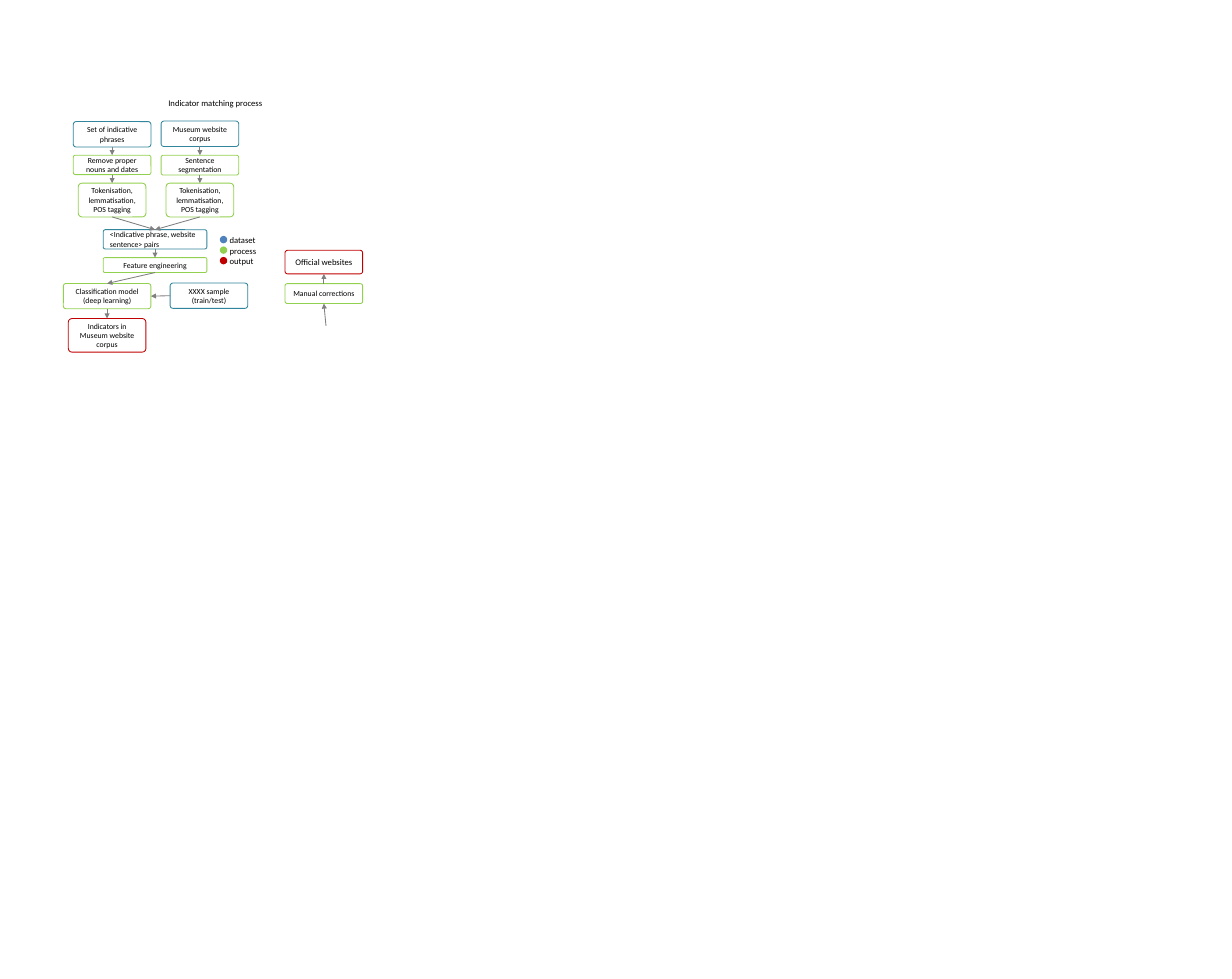
"""Build the indicator matching process flowchart slide."""
from typing import NamedTuple

from pptx import Presentation
from pptx.dml.color import RGBColor
from pptx.enum.shapes import MSO_CONNECTOR, MSO_SHAPE
from pptx.enum.text import MSO_ANCHOR as ANCHOR, MSO_AUTO_SIZE, PP_ALIGN as ALIGN
from pptx.oxml.ns import qn
from pptx.shapes.autoshape import Shape
from pptx.shapes.connector import Connector
from pptx.slide import Slide
from pptx.util import Pt
from lxml.etree import SubElement

DATASET, PROCESS, OUTPUT = "31859C", "92D050", "C00000"
BLACK, WHITE, GREY = "000000", "FFFFFF", "808080"
TOP, LEFT, BOTTOM, RIGHT = range(4)
PHRASES_X, CORPUS_X, PAIRS_X = 130, 231.8, 179.8
MODEL_X, SAMPLE_X, WEBSITES_X = 124.2, 242.3, 375.5
TOKENS = "Tokenisation, lemmatisation, POS tagging"


class Box(NamedTuple):
    text: str
    center: float
    top: float
    width: float
    height: float
    color: str
    size: float = 9
    align: ALIGN = ALIGN.CENTER


class Link(NamedTuple):
    start: str
    end: str
    start_side: int = BOTTOM
    end_side: int = TOP


class Key(NamedTuple):
    text: str
    color: str


BOXES = {
    "phrases": Box("Set of indicative phrases", PHRASES_X, 141, 90, 29.5, DATASET),
    "corpus": Box("Museum website corpus", CORPUS_X, 140.4, 90, 29.5, DATASET),
    "cleaning": Box("Remove proper nouns and dates", PHRASES_X, 180, 90, 22.5, PROCESS),
    "sentences": Box("Sentence segmentation", CORPUS_X, 180, 90, 23, PROCESS),
    "phrase_tokens": Box(TOKENS, PHRASES_X, 212.4, 78.5, 39.2, PROCESS),
    "corpus_tokens": Box(TOKENS, CORPUS_X, 212.4, 78.5, 39.2, PROCESS),
    "pairs": Box("<Indicative phrase, website sentence> pairs",
                 PAIRS_X, 266.4, 120.2, 22.4, DATASET, align=ALIGN.LEFT),
    "features": Box("Feature engineering", PAIRS_X, 298.8, 120.2, 17.3, PROCESS),
    "model": Box("Classification model\n(deep learning)", MODEL_X, 328.8, 101.5, 29.3, PROCESS),
    "sample": Box("XXXX sample (train/test)", SAMPLE_X, 328.3, 90, 29.3, DATASET),
    "indicators": Box("Indicators in Museum website corpus", MODEL_X, 369.4, 90, 39, OUTPUT),
    "corrections": Box("Manual corrections", WEBSITES_X, 329, 90, 23, PROCESS),
    "websites": Box("Official websites", WEBSITES_X, 290.2, 90, 27.4, OUTPUT, size=10),
}
LINKS = [
    Link("phrases", "cleaning"),
    Link("corpus", "sentences"),
    Link("cleaning", "phrase_tokens"),
    Link("sentences", "corpus_tokens"),
    Link("phrase_tokens", "pairs"),
    Link("corpus_tokens", "pairs"),
    Link("pairs", "features"),
    Link("features", "model"),
    Link("sample", "model", LEFT, RIGHT),
    Link("model", "indicators"),
    Link("corrections", "websites", TOP, BOTTOM),
]
KEYS = [Key("dataset", "4F81BD"), Key("process", "92D051"), Key("output", OUTPUT)]
KEY_STEP = 12.2


def rgb(color: str) -> RGBColor:
    return RGBColor.from_string(color)


def write(sp: Shape, text: str, *, size: float = 10, align: ALIGN = ALIGN.LEFT,
          anchor: ANCHOR = ANCHOR.TOP) -> None:
    tf = sp.text_frame
    tf.text = text
    tf.word_wrap = True
    tf.auto_size = MSO_AUTO_SIZE.NONE
    tf.vertical_anchor = anchor
    for p in tf.paragraphs:
        p.alignment = align
        for r in p.runs:
            r.font.name = "Calibri"
            r.font.size = Pt(size)
            r.font.color.rgb = rgb(BLACK)


def add_title(s: Slide) -> None:
    sp = s.shapes.title
    sp.left, sp.top, sp.width, sp.height = Pt(188), Pt(109.4), Pt(168), Pt(19.4)
    write(sp, "Indicator matching process")


def add_box(s: Slide, box: Box) -> Shape:
    sp = s.shapes.add_shape(MSO_SHAPE.ROUNDED_RECTANGLE, Pt(box.center - box.width / 2),
                            Pt(box.top), Pt(box.width), Pt(box.height))
    sp.adjustments[0] = 0.11
    sp.shadow.inherit = False
    sp.fill.solid()
    sp.fill.fore_color.rgb = rgb(WHITE)
    sp.line.color.rgb = rgb(box.color)
    sp.line.width = Pt(1)
    write(sp, box.text, size=box.size, align=box.align, anchor=ANCHOR.MIDDLE)
    return sp


def add_arrow(s: Slide, x: float = 0, y: float = 0) -> Connector:
    arrow = s.shapes.add_connector(MSO_CONNECTOR.STRAIGHT, Pt(x), Pt(y), Pt(x), Pt(y))
    arrow.line.color.rgb = rgb(GREY)
    arrow.line.width = Pt(1)
    SubElement(arrow.line._get_or_add_ln(), qn("a:tailEnd"), type="triangle")
    SubElement(arrow._element.spPr, qn("a:effectLst"))
    return arrow


def add_legend(s: Slide) -> None:
    labels = s.shapes.add_textbox(Pt(259.2), Pt(269.2), Pt(96.5), Pt(55.5))
    write(labels, "\n".join(key.text for key in KEYS))
    for i, key in enumerate(KEYS):
        dot = s.shapes.add_shape(MSO_SHAPE.OVAL, Pt(254.9), Pt(273.6 + i * KEY_STEP),
                                 Pt(8.6), Pt(8.6))
        dot.shadow.inherit = False
        dot.fill.solid()
        dot.fill.fore_color.rgb = rgb(key.color)
        dot.line.fill.background()


def main() -> None:
    prs = Presentation()
    prs.slide_width, prs.slide_height = Pt(1428.5), Pt(1135.4)
    s = prs.slides.add_slide(prs.slide_layouts[5])
    add_title(s)
    shapes = {name: add_box(s, box) for name, box in BOXES.items()}
    for link in LINKS:
        arrow = add_arrow(s)
        arrow.begin_connect(shapes[link.start], link.start_side)
        arrow.end_connect(shapes[link.end], link.end_side)
    add_arrow(s, 378, 378).end_connect(shapes["corrections"], BOTTOM)
    add_legend(s)
    prs.save("out.pptx")


if __name__ == "__main__":
    main()
